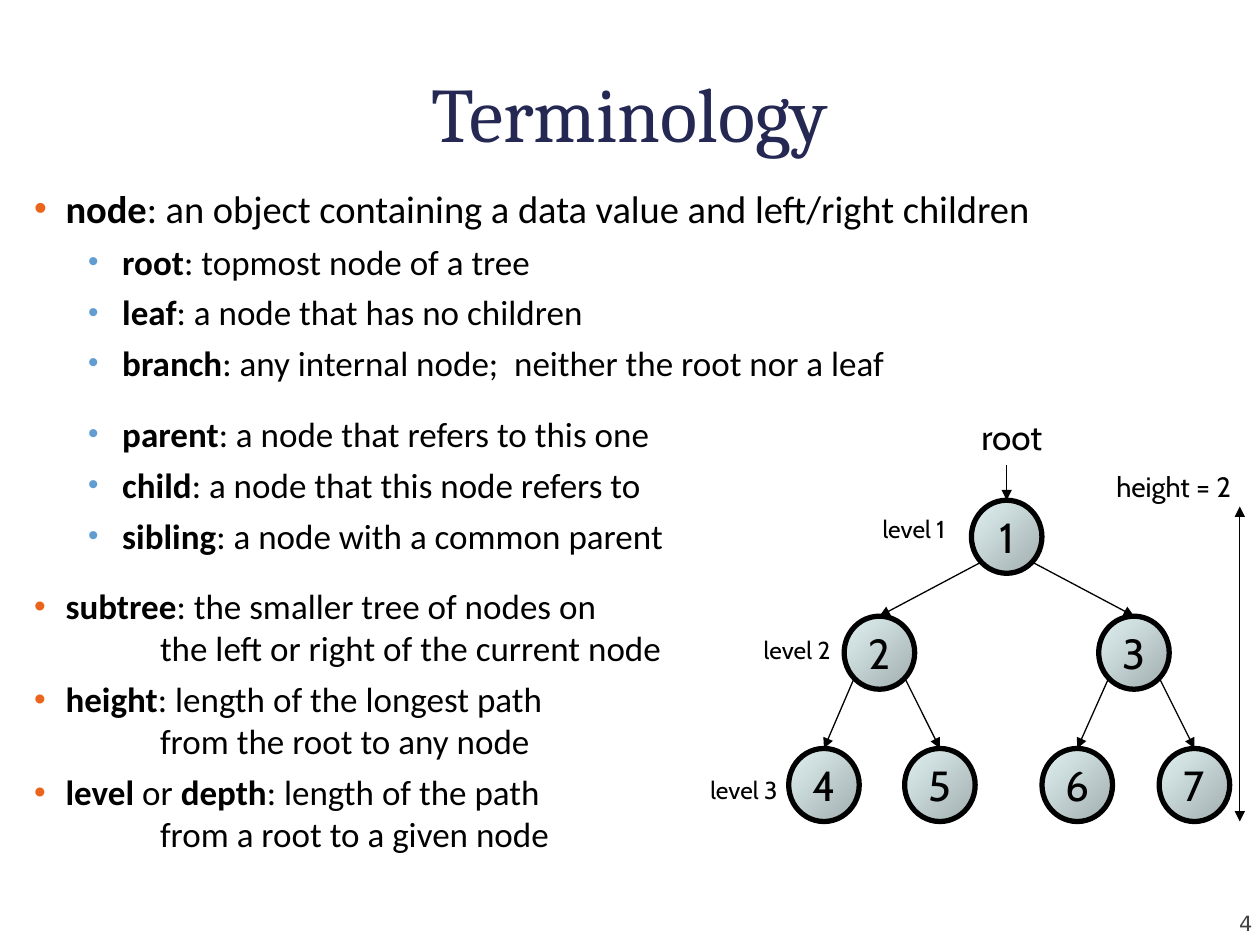
"""Build the Terminology slide on binary trees."""
from lxml.etree import SubElement
from pptx import Presentation
from pptx.dml.color import RGBColor
from pptx.enum.shapes import MSO_CONNECTOR, MSO_SHAPE
from pptx.enum.text import MSO_ANCHOR, MSO_AUTO_SIZE, PP_ALIGN
from pptx.oxml.ns import qn
from pptx.util import Inches, Pt

BLACK = RGBColor(0x00, 0x00, 0x00)
NAVY = RGBColor(0x24, 0x28, 0x52)
GREY = RGBColor(0x42, 0x42, 0x42)
ORANGE = RGBColor(0xEB, 0x64, 0x1B)
BLUE = RGBColor(0x62, 0x9D, 0xD1)
NODE_DARK = RGBColor(0xA1, 0xAD, 0xAE)
NODE_LIGHT = RGBColor(0xE1, 0xF2, 0xF3)

# level, size, space before, alternating bold and plain pieces
TERMS = [
    (0, 22, 0, ["node", ": an object containing a data value and left/right children"]),
    (1, 20, 5, ["root", ": topmost node of a tree"]),
    (1, 20, 5, ["leaf", ": a node that has no children"]),
    (1, 20, 5, ["branch", ": any internal node;  neither the root nor a leaf"]),
    (1, 20, 16.5, ["parent", ": a node that refers to this one"]),
    (1, 20, 5, ["child", ": a node that this node refers to"]),
    (1, 20, 5, ["sibling", ": a node with a common parent"]),
    (0, 20, 16.5, ["subtree", ": the smaller tree of nodes on\n\tthe left or right of the current node"]),
    (0, 20, 5, ["height", ": length of the longest path\n\tfrom the root to any node"]),
    (0, 20, 5, ["level", " or ", "depth", ": length of the path\n\tfrom a root to a given node"]),
]
BULLETS = [(0.25, 0.25, ORANGE, 95), (0.7, 0.27, BLUE, 85)]

COLUMNS, ROWS = 100, 75
NODE_WIDTH, NODE_HEIGHT = 5.6, 5.8
EDGE_REACH, EDGE_DROP = 2, 4.9
LEVEL_TOPS = [39.7, 48.9, 59.4]
NODE_CENTRES = {1: 79.9, 2: 69.8, 3: 90, 4: 65.4, 5: 74.6, 6: 85.5, 7: 94.8}
LABELS = [
    ("root", 20, (76.2, 32.5, 7.5, 4.4)),
    ("height = 2", 16, (86.3, 36.8, 12.4, 3.7)),
    ("level 1", 14, (68.2, 40.3, 7.8, 3.4)),
    ("level 2", 14, (59.1, 49.9, 7.8, 3.4)),
    ("level 3", 14, (54.9, 61, 7.8, 3.4)),
]

presentation = Presentation()
presentation.slide_width, presentation.slide_height = Inches(10), Inches(7.5)
slide = presentation.slides.add_slide(presentation.slide_layouts[1])
shapes = slide.shapes


def across(columns):
    return round(presentation.slide_width * columns / COLUMNS)


def down(rows):
    return round(presentation.slide_height * rows / ROWS)


def place(left, top, width, height):
    return across(left), down(top), across(width), down(height)


def move(placeholder, area):
    placeholder.left, placeholder.top, placeholder.width, placeholder.height = place(*area)


def style(paragraph, size, family, color, alignment):
    paragraph.alignment = alignment
    paragraph.font.size = Pt(size)
    paragraph.font.name = family
    paragraph.font.color.rgb = color


def add_bullet(paragraph, level):
    margin, hanging, color, percent = BULLETS[level]
    properties = paragraph._p.get_or_add_pPr()
    properties.set("marL", str(Inches(margin)))
    properties.set("indent", str(-Inches(hanging)))
    SubElement(SubElement(properties, qn("a:buClr")), qn("a:srgbClr"), val=str(color))
    SubElement(properties, qn("a:buSzPct"), val=str(percent * 1000))
    SubElement(properties, qn("a:buFont"), typeface="Arial")
    SubElement(properties, qn("a:buChar"), char="•")
    SubElement(SubElement(properties, qn("a:tabLst")), qn("a:tab"), pos=str(Inches(1)), algn="l")


def add_term(paragraph, level, size, space, pieces):
    paragraph.level = level
    add_bullet(paragraph, level)
    paragraph.space_before = Pt(space)
    style(paragraph, size, "Calibri", BLACK, PP_ALIGN.LEFT)
    for index, piece in enumerate(pieces):
        for number, line in enumerate(piece.split("\n")):
            if number:
                paragraph.add_line_break()
            run = paragraph.add_run()
            run.text = line
            run.font.bold = index % 2 == 0


def add_label(text, size, area, family="Cabin", color=BLACK):
    label = shapes.add_textbox(*place(*area))
    label.text_frame.word_wrap = False
    label.text_frame.text = text
    style(label.text_frame.paragraphs[0], size, family, color, PP_ALIGN.RIGHT)
    return label.text_frame


def add_node(number):
    top = LEVEL_TOPS[number.bit_length() - 1]
    left = NODE_CENTRES[number] - NODE_WIDTH / 2
    node = shapes.add_shape(MSO_SHAPE.OVAL, *place(left, top, NODE_WIDTH, NODE_HEIGHT))
    node.shadow.inherit = False
    node.fill.gradient()
    node.fill.gradient_angle = 135
    for stop, color in zip(node.fill.gradient_stops, (NODE_DARK, NODE_LIGHT)):
        stop.color.rgb = color
    node.line.color.rgb = BLACK
    node.line.width = Pt(3)
    node.text_frame.word_wrap = False
    node.text_frame.vertical_anchor = MSO_ANCHOR.MIDDLE
    node.text_frame.text = str(number)
    style(node.text_frame.paragraphs[0], 24, "Cabin", BLACK, PP_ALIGN.CENTER)
    return node


def add_arrow(start, end, ends=("tailEnd",)):
    arrow = shapes.add_connector(MSO_CONNECTOR.STRAIGHT, across(start[0]), down(start[1]),
                                 across(end[0]), down(end[1]))
    arrow.line.color.rgb = BLACK
    arrow.line.width = Pt(0.75)
    for name in ends:
        SubElement(arrow.line._get_or_add_ln(), qn(f"a:{name}"), type="triangle")
    SubElement(arrow._element.spPr, qn("a:effectLst"))
    return arrow


title = shapes.title
move(title, (5, 0, 90, 12.5))
title_frame = title.text_frame
title_frame.text = "Terminology"
title_frame.auto_size = MSO_AUTO_SIZE.NONE
title_frame.vertical_anchor = MSO_ANCHOR.BOTTOM
title_frame.margin_left = title_frame.margin_right = title_frame.margin_bottom = 0
style(title_frame.paragraphs[0], 44, "Cambria", NAVY, PP_ALIGN.CENTER)

definitions = slide.placeholders[1]
move(definitions, (1.7, 14.2, 98.3, 56.7))
definitions.text_frame.auto_size = MSO_AUTO_SIZE.NONE
for index, term in enumerate(TERMS):
    frame = definitions.text_frame
    add_term(frame.add_paragraph() if index else frame.paragraphs[0], *term)

nodes = {number: add_node(number) for number in NODE_CENTRES}
for child in range(2, len(nodes) + 1):
    parent = child // 2
    side = 1 if child % 2 else -1
    start = (NODE_CENTRES[parent] + side * EDGE_REACH, LEVEL_TOPS[parent.bit_length() - 1] + EDGE_DROP)
    end = (NODE_CENTRES[child], LEVEL_TOPS[child.bit_length() - 1])
    add_arrow(start, end).end_connect(nodes[child], 0)
root_top = (NODE_CENTRES[1], LEVEL_TOPS[0])
add_arrow((NODE_CENTRES[1], 36.9), root_top).end_connect(nodes[1], 0)
add_arrow((98.4, 40.2), (98.4, LEVEL_TOPS[-1] + NODE_HEIGHT), ("headEnd", "tailEnd"))

for label in LABELS:
    add_label(*label)
page = add_label("4", 12, (91.1, 70.3, 8.3, 4), "DejaVu Sans", GREY)
page.word_wrap = True
page.vertical_anchor = MSO_ANCHOR.BOTTOM
page.margin_left = page.margin_right = page.margin_top = page.margin_bottom = 0

presentation.save("out.pptx")
